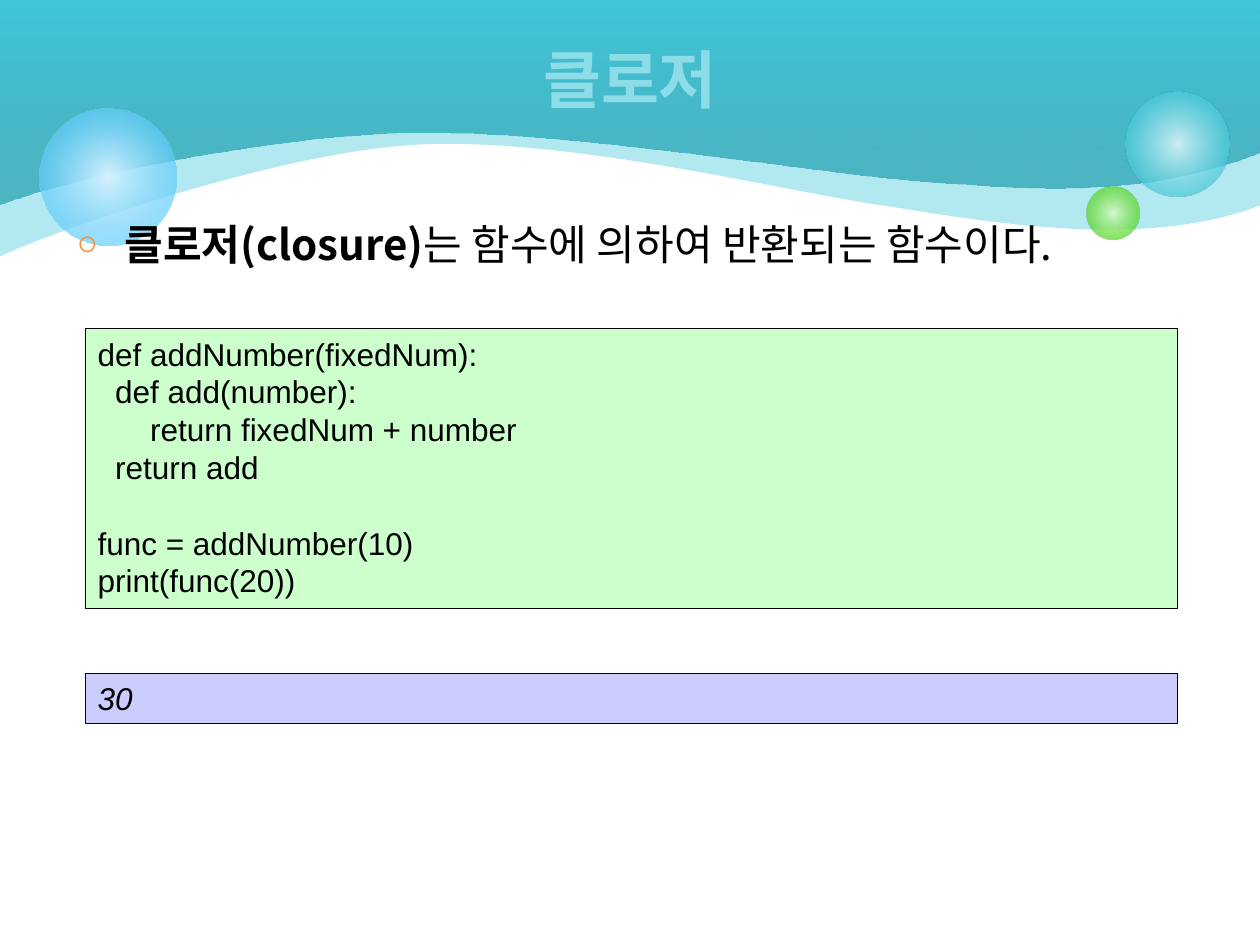
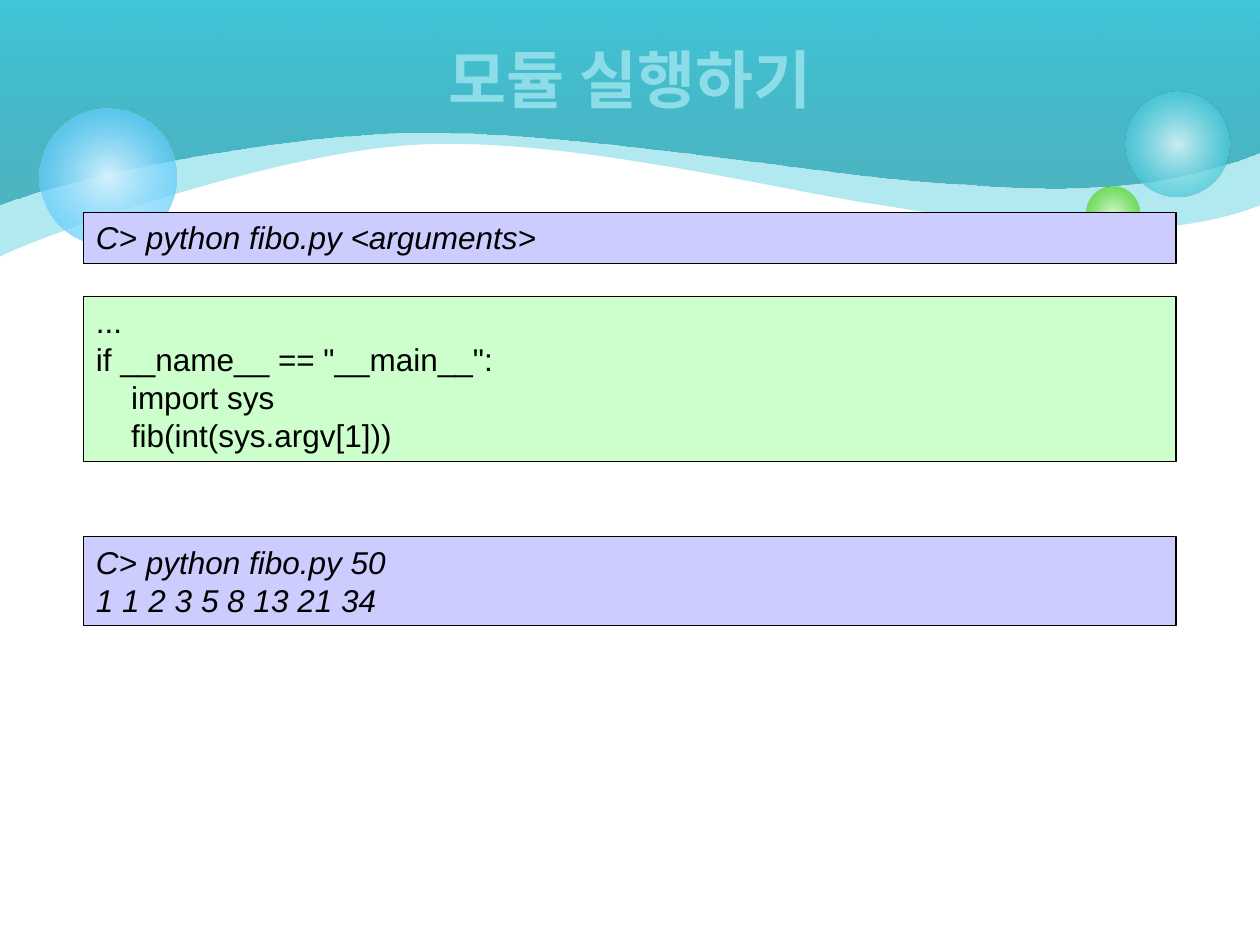
"""Build two Python lesson slides: closures and running a module."""
from lxml.etree import SubElement as Sub
from pptx import Presentation
from pptx.dml.color import RGBColor
from pptx.enum.shapes import MSO_SHAPE as Shape
from pptx.enum.text import MSO_ANCHOR as Anchor, PP_ALIGN as Align
from pptx.oxml.ns import qn
from pptx.util import Pt

BLACK = RGBColor(0x00, 0x00, 0x00)
TEAL = RGBColor(0x40, 0xC6, 0xD8)
DEEP_TEAL = RGBColor(0x24, 0x9E, 0xAE)
PALE_TEAL = RGBColor(0xD9, 0xF4, 0xF7)
TITLE_TEAL = RGBColor(0x8C, 0xDD, 0xE8)
LIME = RGBColor(0x4C, 0xD4, 0x16)
PALE_LIME = RGBColor(0xDA, 0xFA, 0xCD)
SKY = RGBColor(0x33, 0xBD, 0xFB)
PALE_SKY = RGBColor(0xD6, 0xF2, 0xFE)
CODE_GREEN = RGBColor(0xCC, 0xFF, 0xCC)
OUTPUT_LILAC = RGBColor(0xCC, 0xCC, 0xFF)
ORANGE = RGBColor(0xFE, 0x8C, 0x2E)

KOREAN = "Noto Sans CJK KR"
LATIN = "Arial"
WIDTH, HEIGHT = 720, 540
CODE_WIDTH = 624.2
CODE_LINE = 21.6
SPACE_WIDTH = 5

BACK_WAVE = [
    (0, 38.9), (0, 108), (0, 146.6),
    (23.8, 134.6), (154.1, 87.8), (236.2, 82.8),
    (319, 77.8), (436.3, 106.6), (494.6, 115.9),
    (553, 124.6), (649.4, 144.7), (720, 117.4),
]
FRONT_WAVE = [
    (0, 38.9), (0, 77.8), (0, 116.6),
    (32.4, 103.7), (146.2, 77.8), (234.7, 75.6),
    (323.3, 73.4), (473.8, 100.1), (530.6, 103.7),
    (587.5, 107.3), (649.4, 114.5), (720, 87.1),
]
BUBBLES = [
    (643, 52.6, 59.8, [(0, PALE_TEAL, 90), (76, TEAL, 70)]),
    (620.8, 106.6, 30.4, [(0, PALE_LIME, 90), (76, LIME, 70)]),
    (22.5, 62, 78.5, [(0, PALE_SKY, 100), (100, SKY, 54)]),
]


def add_color(parent, color, opacity=100):
    """Append an RGB colour with an opacity in percent."""
    tint = Sub(parent, qn("a:srgbClr"), val=str(color))
    if opacity < 100:
        Sub(tint, qn("a:alpha"), val=str(opacity * 1000))


def fill_gradient(shape, stops, angle=None):
    """Fill with a linear gradient, or a radial one when no angle is given."""
    shape.fill.background()
    empty = shape.element.spPr.find(qn("a:noFill"))
    gradient = empty.makeelement(qn("a:gradFill"), rotWithShape="1")
    stop_list = Sub(gradient, qn("a:gsLst"))
    for position, color, opacity in stops:
        stop = Sub(stop_list, qn("a:gs"), pos=str(position * 1000))
        add_color(stop, color, opacity)
    if angle is None:
        radial = Sub(gradient, qn("a:path"), path="circle")
        Sub(radial, qn("a:fillToRect"), l="50000", t="50000", r="50000", b="50000")
    else:
        Sub(gradient, qn("a:lin"), ang=str(angle * 60000), scaled="0")
    empty.getparent().replace(empty, gradient)


def add_wave(page, controls):
    """Draw a band from the top edge down to a wavy edge of Bezier curves."""
    outline = page.shapes.build_freeform(0, 0)
    corners = controls + [(WIDTH + 0.7, 0)]
    outline.add_line_segments([(Pt(x), Pt(y)) for x, y in corners], close=True)
    wave = outline.convert_to_shape()
    wave.shadow.inherit = False
    wave.line.fill.background()
    lines = list(wave.element.iter(qn("a:lnTo")))
    for first in range(0, len(controls), 3):
        curve = lines[first].makeelement(qn("a:cubicBezTo"))
        lines[first].addprevious(curve)
        for line in lines[first:first + 3]:
            curve.append(line[0])
            line.getparent().remove(line)
    return wave


def add_backdrop(page):
    """Draw the two waves and the bubbles."""
    back = add_wave(page, BACK_WAVE)
    back.fill.solid()
    back.fill.fore_color.rgb = TEAL
    tint = back.element.spPr.find(qn("a:solidFill")).find(qn("a:srgbClr"))
    Sub(tint, qn("a:alpha"), val="40000")
    front = add_wave(page, FRONT_WAVE)
    fill_gradient(front, [(0, DEEP_TEAL, 69), (100, TEAL, 100)], angle=270)
    for left, top, size, stops in BUBBLES:
        bubble = page.shapes.add_shape(Shape.OVAL, Pt(left), Pt(top), Pt(size), Pt(size))
        bubble.shadow.inherit = False
        bubble.line.fill.background()
        fill_gradient(bubble, stops)


def set_font(para, name, size, color, bold=None, italic=None):
    """Set the font of a whole paragraph, East Asian text included."""
    font = para.font
    font.name, font.size, font.bold, font.italic = name, Pt(size), bold, italic
    font.color.rgb = color
    latin = para._p.pPr.find(qn("a:defRPr")).find(qn("a:latin"))
    latin.addnext(latin.makeelement(qn("a:ea"), typeface=name))


def add_text_box(page, left, top, width, height):
    """Add a wrapping text box and return its text frame."""
    frame = page.shapes.add_textbox(Pt(left), Pt(top), Pt(width), Pt(height)).text_frame
    frame.word_wrap = True
    return frame


def add_title(page, text):
    """Add the centred slide title."""
    frame = add_text_box(page, 36, 0, 648, 90)
    frame.vertical_anchor = Anchor.MIDDLE
    para = frame.paragraphs[0]
    para.text = text
    para.alignment = Align.CENTER
    set_font(para, KOREAN, 36, TITLE_TEAL, bold=True)


def add_bullet(page, term, explanation):
    """Add a bulleted sentence that opens with a bold term."""
    para = add_text_box(page, 36.7, 121.3, 648, 356.4).paragraphs[0]
    properties = para._p.get_or_add_pPr()
    properties.set("marL", str(Pt(27.4)))
    properties.set("indent", str(Pt(-27.4)))
    add_color(Sub(properties, qn("a:buClr")), ORANGE)
    Sub(properties, qn("a:buSzPct"), val="85000")
    Sub(properties, qn("a:buFont"), typeface=LATIN)
    Sub(properties, qn("a:buChar"), char="○")
    set_font(para, KOREAN, 24, BLACK)
    for text, bold in ((term, True), (explanation, False)):
        span = para.add_run()
        span.text = text
        span.font.bold = bold


def add_code(page, left, top, height, lines, output=False):
    """Add a framed listing; an empty line becomes space before the next one."""
    box = page.shapes.add_shape(
        Shape.RECTANGLE, Pt(left), Pt(top), Pt(CODE_WIDTH), Pt(height))
    box.shadow.inherit = False
    box.fill.solid()
    box.fill.fore_color.rgb = OUTPUT_LILAC if output else CODE_GREEN
    box.line.color.rgb = BLACK
    box.line.width = Pt(0.75)
    frame = box.text_frame
    frame.word_wrap = True
    frame.vertical_anchor = Anchor.TOP
    gap = 0
    for number, line in enumerate(lines):
        if not line:
            gap += CODE_LINE
            continue
        para = frame.add_paragraph() if number else frame.paragraphs[0]
        para.text = line.lstrip()
        para.alignment = Align.LEFT
        para.line_spacing = Pt(CODE_LINE)
        para.space_before = Pt(gap)
        indent = (len(line) - len(para.text)) * SPACE_WIDTH
        para._p.get_or_add_pPr().set("marL", str(Pt(indent)))
        set_font(para, LATIN, 18, BLACK, italic=output)
        gap = 0


def add_page(deck):
    """Add a blank slide with the shared backdrop."""
    page = deck.slides.add_slide(deck.slide_layouts[6])
    add_backdrop(page)
    return page


def build_closure(deck):
    """Build the slide on closures."""
    page = add_page(deck)
    add_bullet(page, "클로저(closure)", "는 함수에 의하여 반환되는 함수이다.")
    add_title(page, "클로저")
    add_code(page, 48.7, 187.7, 160, [
        "def addNumber(fixedNum):",
        "  def add(number):",
        "      return fixedNum + number",
        "  return add",
        "",
        "func = addNumber(10)",
        "print(func(20))",
    ])
    add_code(page, 48.7, 384.7, 28.6, ["30"], output=True)


def build_module(deck):
    """Build the slide on running a module."""
    page = add_page(deck)
    add_title(page, "모듈 실행하기")
    add_code(page, 47.8, 121.3, 29.2, ["C> python fibo.py <arguments>"], output=True)
    add_code(page, 47.8, 169.3, 94.3, [
        "...",
        'if __name__ == "__main__":',
        "    import sys",
        "    fib(int(sys.argv[1]))",
    ])
    add_code(page, 47.8, 306.6, 51, [
        "C> python fibo.py 50",
        "1 1 2 3 5 8 13 21 34",
    ], output=True)


def main():
    """Build and save the deck."""
    deck = Presentation()
    deck.slide_width, deck.slide_height = Pt(WIDTH), Pt(HEIGHT)
    build_closure(deck)
    build_module(deck)
    deck.save("out.pptx")


if __name__ == "__main__":
    main()
